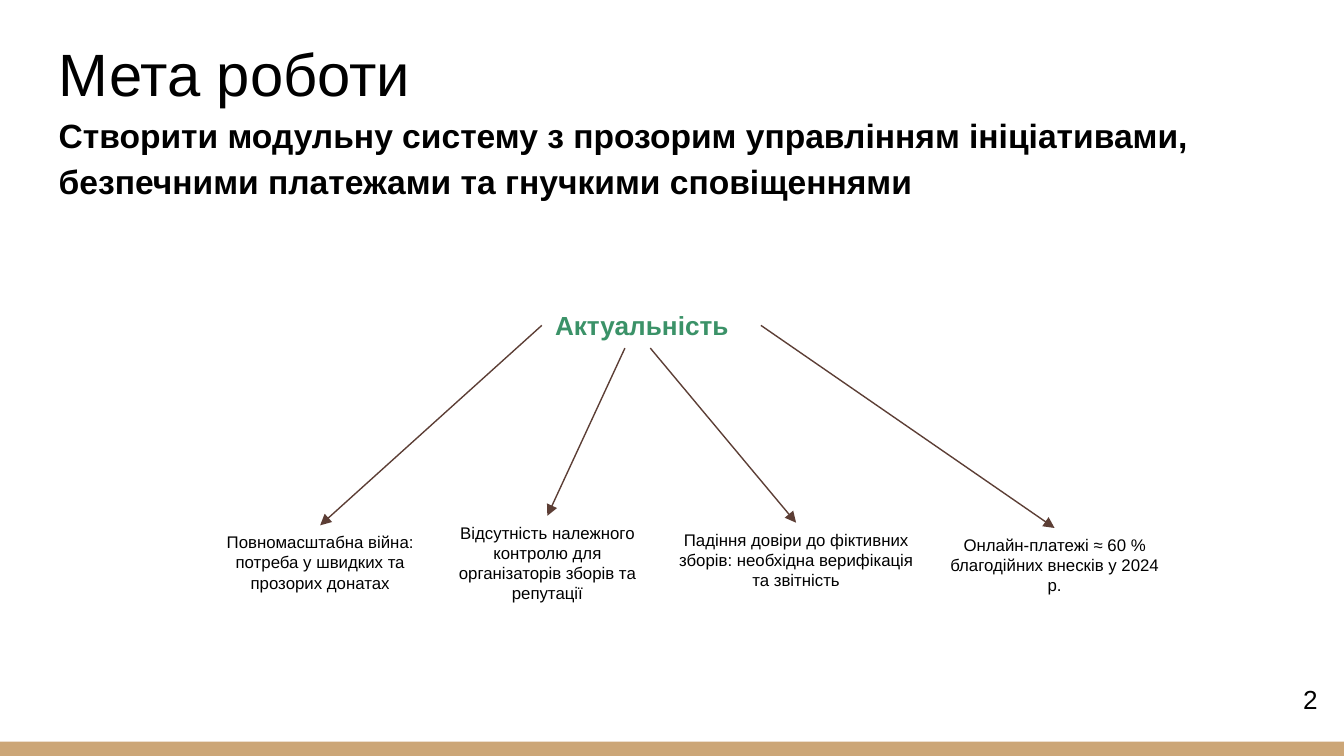
from dataclasses import dataclass

from lxml import etree
from pptx import Presentation
from pptx.dml.color import RGBColor
from pptx.enum import shapes, text
from pptx.oxml import ns
from pptx.util import Cm, Pt


@dataclass(frozen=True)
class Theme:
    font: str = "Arial"
    ink: str = "000000"
    accent: str = "3B9268"
    arrow: str = "5C3E35"
    footer: str = "CCA677"
    title_size: float = 32
    goal_size: float = 18
    label_size: float = 14
    reason_size: float = 9
    arrow_width: float = 0.75


THEME = Theme()
SLIDE_WIDTH, SLIDE_HEIGHT = 25.4, 14.29
FOOTER_HEIGHT = 0.27
MARGIN = 0.86
CONTENT_WIDTH = SLIDE_WIDTH - 2 * MARGIN
TOPIC_BOX = (10.24, 5.72, 4.14, 0.86)

# Text and box (left, top, width, height) of each reason, left to right
REASONS = [
    ("Повномасштабна війна:\nпотреба у швидких та прозорих донатах",
     (3.51, 9.93, 5.08, 1.42)),
    ("Відсутність належного контролю для організаторів зборів та репутації",
     (8.26, 9.75, 4.17, 1.8)),
    ("Падіння довіри до фіктивних зборів: необхідна верифікація та звітність",
     (12.52, 9.88, 5.05, 1.42)),
    ("Онлайн‑платежі ≈ 60 % благодійних внесків у 2024 р.",
     (17.58, 9.98, 4.7, 1.42)),
]


def write(frame, content, *, size, color=THEME.ink, bold=False,
          align=text.PP_ALIGN.LEFT, anchor=text.MSO_ANCHOR.TOP, wrap=True,
          inset=None, line_spacing=None, space_before=None):
    """Fill a text frame, one paragraph per line of content."""
    frame.text = content
    frame.word_wrap = wrap
    frame.auto_size = text.MSO_AUTO_SIZE.NONE
    frame.vertical_anchor = anchor
    if inset is not None:
        frame.margin_left = frame.margin_right = Cm(inset)
        frame.margin_top = frame.margin_bottom = Cm(inset)
    for paragraph in frame.paragraphs:
        paragraph.alignment = align
        if line_spacing is not None:
            paragraph.line_spacing = line_spacing
        if space_before is not None:
            paragraph.space_before = Pt(space_before)
        for run in paragraph.runs:
            run.font.name = THEME.font
            run.font.size = Pt(size)
            run.font.bold = bold
            run.font.color.rgb = RGBColor.from_string(color)


def add_label(slide, content, box, **text_format):
    label = slide.shapes.add_textbox(*map(Cm, box))
    write(label.text_frame, content, **text_format)


def add_title(slide, content):
    title = slide.shapes.title
    title.left, title.top = Cm(MARGIN), Cm(0)
    title.width, title.height = Cm(CONTENT_WIDTH), Cm(2.31)
    write(title.text_frame, content, size=THEME.title_size,
          anchor=text.MSO_ANCHOR.BOTTOM, inset=0.25)


def add_footer_bar(slide):
    bar = slide.shapes.add_shape(
        shapes.MSO_SHAPE.RECTANGLE, Cm(0), Cm(SLIDE_HEIGHT - FOOTER_HEIGHT),
        Cm(SLIDE_WIDTH), Cm(FOOTER_HEIGHT))
    bar.shadow.inherit = False
    bar.fill.solid()
    bar.fill.fore_color.rgb = RGBColor.from_string(THEME.footer)
    bar.line.fill.background()


def add_arrow(slide, start, end):
    arrow = slide.shapes.add_connector(
        shapes.MSO_CONNECTOR.STRAIGHT, *map(Cm, (*start, *end)))
    arrow.line.color.rgb = RGBColor.from_string(THEME.arrow)
    arrow.line.width = Pt(THEME.arrow_width)
    etree.SubElement(arrow.line._get_or_add_ln(), ns.qn("a:tailEnd"),
                     type="triangle")
    etree.SubElement(arrow._element.spPr, ns.qn("a:effectLst"))


def add_relevance_tree(slide):
    """Place the topic and an arrow from it to the top centre of each reason."""
    left, top, width, height = TOPIC_BOX
    middle, bottom = top + height / 2, top + height
    starts = [(left, middle), (11.81, bottom), (12.29, bottom),
              (left + width, middle)]
    add_label(slide, "Актуальність", TOPIC_BOX, size=THEME.label_size,
              color=THEME.accent, bold=True)
    for start, (reason, box) in zip(starts, REASONS):
        add_arrow(slide, start, (box[0] + box[2] / 2, box[1]))
        add_label(slide, reason, box, size=THEME.reason_size,
                  align=text.PP_ALIGN.CENTER)


def main():
    deck = Presentation()
    deck.slide_width, deck.slide_height = Cm(SLIDE_WIDTH), Cm(SLIDE_HEIGHT)
    title_only = deck.slide_layouts[5]
    slide = deck.slides.add_slide(title_only)

    add_footer_bar(slide)
    add_title(slide, "Мета роботи")
    add_label(slide,
              "Створити модульну систему з прозорим управлінням ініціативами, "
              "безпечними платежами та гнучкими сповіщеннями",
              (MARGIN, 1.8, CONTENT_WIDTH, 2.95), size=THEME.goal_size,
              bold=True, inset=0.25, line_spacing=1.15, space_before=12)
    add_relevance_tree(slide)
    add_label(slide, "2", (24.38, 12.8, 0.79, 0.86), size=THEME.label_size,
              wrap=False)

    deck.save("out.pptx")


if __name__ == "__main__":
    main()
